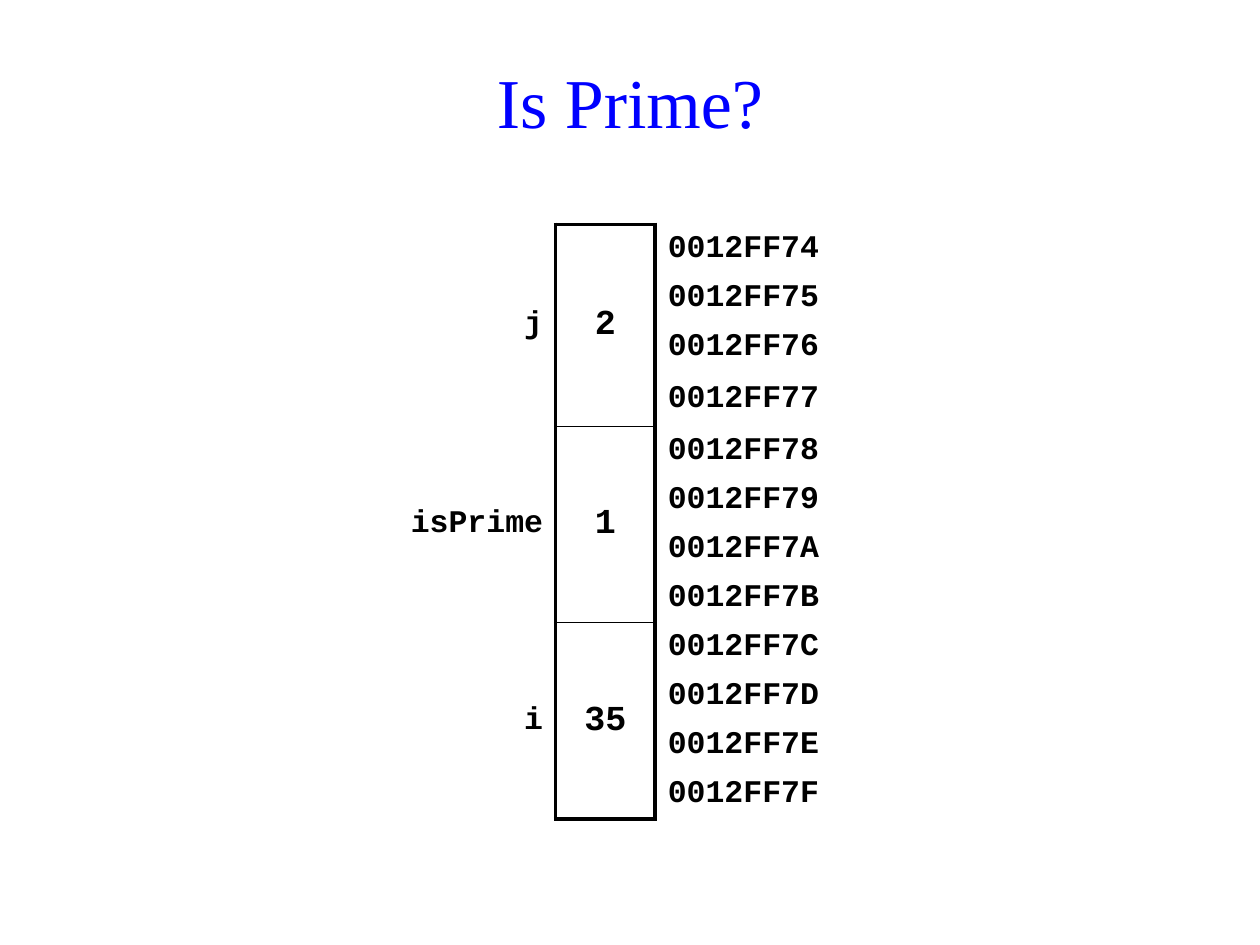
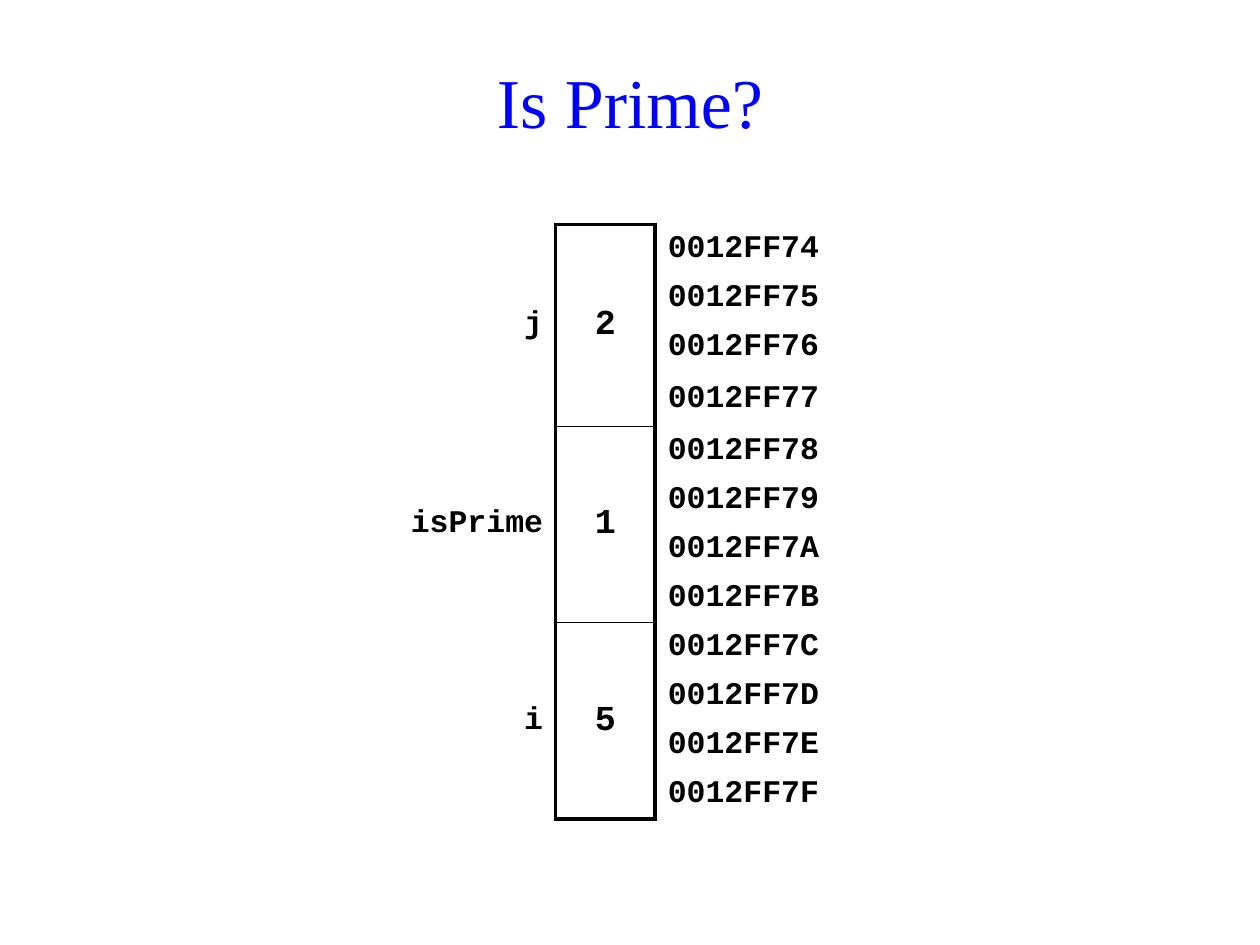
from lxml import etree
from pptx import Presentation
from pptx.dml.color import RGBColor
from pptx.enum.text import MSO_ANCHOR, PP_ALIGN
from pptx.oxml.ns import qn
from pptx.util import Inches, Pt

BLUE, BLACK = "0000FF", "000000"
TITLE_FONT, CODE_FONT = "Times New Roman", "Courier New"
NO_STYLE_NO_GRID = "{2D5ABB26-0587-4C30-8999-92F81FD0307C}"
THICK, THIN = 2.25, 1
COLUMN_WIDTHS = (1.38, 0.79, 1.57)
ROW_HEIGHT = 0.39
BYTES_PER_INT = 4
FIRST_ADDRESS = 0x0012FF74


def rgb(hex_color):
    return RGBColor.from_string(hex_color)


def write(frame, text, size=18, font=CODE_FONT, color=BLACK, bold=True,
          align=PP_ALIGN.LEFT):
    paragraph = frame.paragraphs[0]
    paragraph.alignment = align
    run = paragraph.add_run()
    run.text = text
    run.font.size = Pt(size)
    run.font.name = font
    run.font.bold = bold
    run.font.color.rgb = rgb(color)


def set_borders(cell, **widths):
    """Draw the sides named L, R, T and B, given in that order, in points."""
    properties = cell._tc.get_or_add_tcPr()
    for side, width in widths.items():
        line = etree.SubElement(properties, qn(f"a:ln{side}"), w=str(Pt(width)))
        fill = etree.SubElement(line, qn("a:solidFill"))
        etree.SubElement(fill, qn("a:srgbClr"), val=BLACK)


class MemoryDeck:
    def __init__(self):
        self.presentation = Presentation()
        self.presentation.slide_width = Inches(10)
        self.presentation.slide_height = Inches(7.5)
        self.slide = None

    def add_slide(self, title):
        blank = self.presentation.slide_layouts[6]
        self.slide = self.presentation.slides.add_slide(blank)
        box = self.slide.shapes.add_textbox(
            Inches(0.47), Inches(0.21), Inches(9.06), Inches(1.18))
        frame = box.text_frame
        frame.word_wrap = True
        frame.vertical_anchor = MSO_ANCHOR.MIDDLE
        write(frame, title, size=40, font=TITLE_FONT, color=BLUE, bold=False,
              align=PP_ALIGN.CENTER)

    def add_memory_map(self, variables):
        row_count = BYTES_PER_INT * len(variables)
        memory = self.slide.shapes.add_table(
            row_count, 3, Inches(3.03), Inches(1.78),
            Inches(sum(COLUMN_WIDTHS)), Inches(ROW_HEIGHT * row_count)).table
        memory.first_row = memory.horz_banding = False
        memory._tbl.tblPr.find(qn("a:tableStyleId")).text = NO_STYLE_NO_GRID
        for column, width in zip(memory.columns, COLUMN_WIDTHS):
            column.width = Inches(width)

        # One byte address per row, with the box sides beside it
        for index, row in enumerate(memory.rows):
            row.height = Inches(ROW_HEIGHT)
            name_cell, value_cell, address_cell = row.cells
            top = THICK if index == 0 else THIN
            bottom = THICK if index >= row_count - BYTES_PER_INT else THIN
            set_borders(name_cell, R=THICK)
            set_borders(value_cell, L=THICK, R=THICK, T=top, B=bottom)
            set_borders(address_cell, L=THICK)
            for cell in row.cells:
                cell.fill.background()
                cell.vertical_anchor = MSO_ANCHOR.MIDDLE
            address_cell.margin_top = address_cell.margin_bottom = Inches(0.04)
            write(address_cell.text_frame, f"{FIRST_ADDRESS + index:08X}")

        # Each variable spans the bytes of one int
        for index, (name, value) in enumerate(variables.items()):
            first = index * BYTES_PER_INT
            last = first + BYTES_PER_INT - 1
            for column in (0, 1):
                memory.cell(first, column).merge(memory.cell(last, column))
            write(memory.cell(first, 0).text_frame, name, align=PP_ALIGN.RIGHT)
            write(memory.cell(first, 1).text_frame, str(value), size=20,
                  align=PP_ALIGN.CENTER)


def main():
    deck = MemoryDeck()
    for i in (35, 5):
        deck.add_slide("Is Prime?")
        deck.add_memory_map({"j": 2, "isPrime": 1, "i": i})
    deck.presentation.save("out.pptx")


if __name__ == "__main__":
    main()
